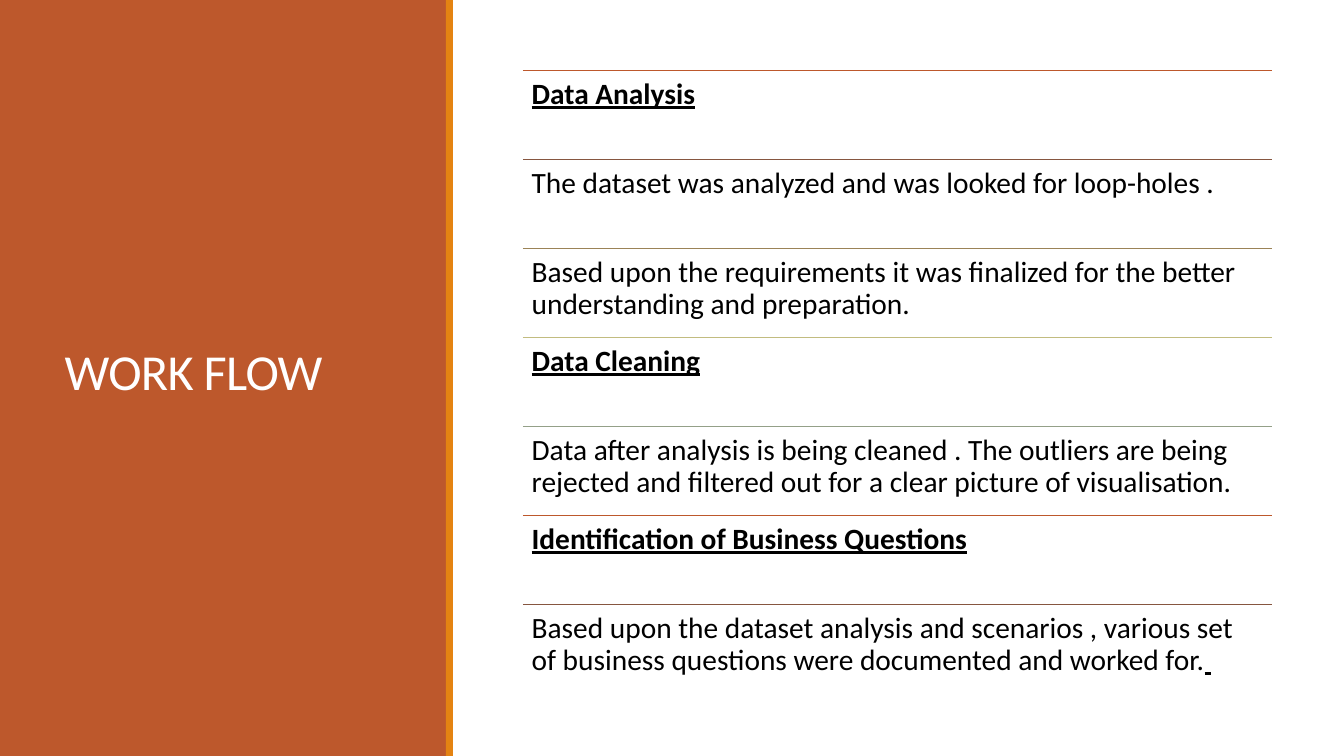
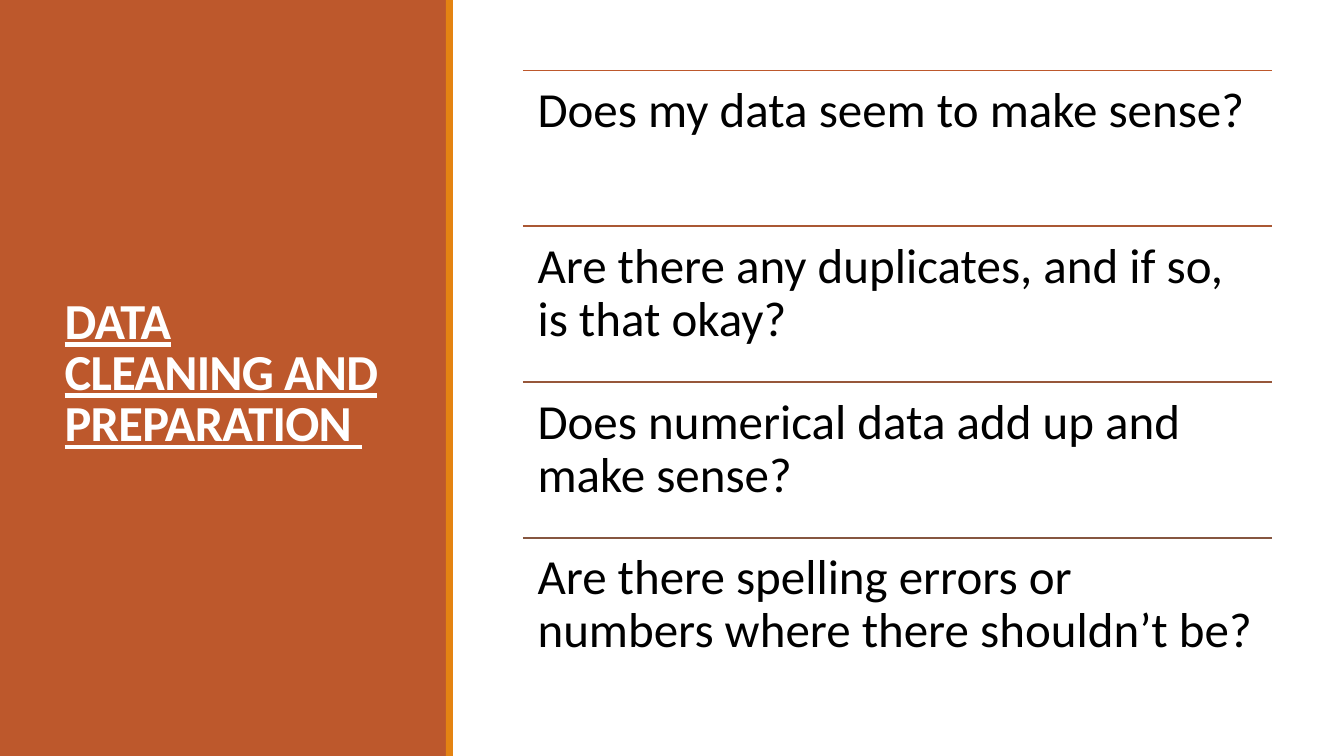
from lxml.etree import SubElement
from pptx import Presentation
from pptx.dml.color import RGBColor
from pptx.enum.shapes import MSO_CONNECTOR, MSO_SHAPE
from pptx.enum.text import MSO_ANCHOR, MSO_AUTO_SIZE, PP_ALIGN
from pptx.oxml.ns import qn
from pptx.util import Pt

# Content: each row is (rule colour, [(text, is emphasised), ...])
SLIDES = [
    {
        "title": "WORK FLOW",
        "title_emphasis": False,
        "text_size": 21,
        "rows": [
            ("rust", [("Data Analysis", True)]),
            ("brown", [("The dataset was analyzed and was looked for loop-holes .", False)]),
            ("tan", [("Based upon the requirements it was finalized for the better "
                      "understanding and preparation.", False)]),
            ("sand", [("Data Cleaning", True)]),
            ("sage", [("Data after analysis is being cleaned . The outliers are being "
                       "rejected and filtered out for a clear picture of visualisation.", False)]),
            ("rust", [("Identification of Business Questions", True)]),
            ("brown", [("Based upon the dataset analysis and scenarios , various set of "
                        "business questions were documented and worked for.", False),
                       (" ", True)]),
        ],
    },
    {
        "title": "DATA CLEANING AND PREPARATION ",
        "title_emphasis": True,
        "text_size": 35,
        "rows": [
            ("rust", [("Does my data seem to make sense?", False)]),
            ("rust_dark", [("Are there any duplicates, and if so, is that okay?", False)]),
            ("rust_brown", [("Does numerical data add up and make sense?", False)]),
            ("brown", [("Are there spelling errors or numbers where there shouldn’t be?", False)]),
        ],
    },
]

# Shared style
COLOURS = {
    "rust": "BD582C", "orange": "E48312", "white": "FFFFFF", "black": "000000",
    "brown": "865640", "tan": "9B8357", "sand": "C2BC80", "sage": "94A088",
    "rust_dark": "AA5834", "rust_brown": "97573A",
}
FONT = "Calibri"
SLIDE_WIDTH, SLIDE_HEIGHT = 960, 540
BANDS = [(0, 319, "rust"), (318.5, 5, "orange")]  # left, width, colour
TITLE_BOX = (39, 41, 242.5, 454)
LIST_LEFT, LIST_TOP, LIST_WIDTH, LIST_HEIGHT = 373.5, 50.4, 535, 445
INSET_RATIO = 0.3  # text inset as a share of the text size


def colour(name):
    return RGBColor.from_string(COLOURS[name])


def format_run(run, size, colour_name, emphasis):
    run.font.name = FONT
    run.font.size = Pt(size)
    run.font.color.rgb = colour(colour_name)
    run.font.bold = emphasis
    run.font.underline = emphasis


def add_bands(slide):
    for position, (left, width, colour_name) in enumerate(BANDS):
        band = slide.shapes.add_shape(
            MSO_SHAPE.RECTANGLE, Pt(left), Pt(0), Pt(width), Pt(SLIDE_HEIGHT))
        band.shadow.inherit = False
        band.fill.solid()
        band.fill.fore_color.rgb = colour(colour_name)
        band.line.fill.background()
        # Keep the bands behind the title
        slide.shapes._spTree.insert(2 + position, band._element)


def set_title(slide, text, emphasis):
    title = slide.shapes.title
    title.left, title.top, title.width, title.height = map(Pt, TITLE_BOX)
    frame = title.text_frame
    frame.text = text
    frame.word_wrap = True
    frame.auto_size = MSO_AUTO_SIZE.NONE
    frame.vertical_anchor = MSO_ANCHOR.MIDDLE
    paragraph = frame.paragraphs[0]
    paragraph.alignment = PP_ALIGN.LEFT
    paragraph.line_spacing = 0.85
    run = paragraph.runs[0]
    format_run(run, 36, "white", emphasis)
    run.font._element.set("spc", "-50")


def add_rule(slide, top, colour_name):
    rule = slide.shapes.add_connector(
        MSO_CONNECTOR.STRAIGHT, Pt(LIST_LEFT), Pt(top), Pt(LIST_LEFT + LIST_WIDTH), Pt(top))
    rule.line.color.rgb = colour(colour_name)
    rule.line.width = Pt(1.25)
    SubElement(rule._element.spPr, qn("a:effectLst"))


def add_row_text(slide, top, height, pieces, size):
    box = slide.shapes.add_textbox(Pt(LIST_LEFT), Pt(top), Pt(LIST_WIDTH), Pt(height))
    frame = box.text_frame
    frame.word_wrap = True
    inset = Pt(size * INSET_RATIO)
    frame.margin_left = frame.margin_right = inset
    frame.margin_top = frame.margin_bottom = inset
    paragraph = frame.paragraphs[0]
    paragraph.line_spacing = 0.9
    for text, emphasis in pieces:
        run = paragraph.add_run()
        run.text = text
        format_run(run, size, "black", emphasis)


def build_slide(presentation, content):
    slide = presentation.slides.add_slide(presentation.slide_layouts[5])
    add_bands(slide)
    set_title(slide, content["title"], content["title_emphasis"])
    # Equal rows fill the list area
    row_height = LIST_HEIGHT / len(content["rows"])
    for index, (rule_colour, pieces) in enumerate(content["rows"]):
        top = LIST_TOP + index * row_height
        add_rule(slide, top, rule_colour)
        add_row_text(slide, top, row_height, pieces, content["text_size"])


def main():
    presentation = Presentation()
    presentation.slide_width = Pt(SLIDE_WIDTH)
    presentation.slide_height = Pt(SLIDE_HEIGHT)
    for content in SLIDES:
        build_slide(presentation, content)
    presentation.save("out.pptx")


if __name__ == "__main__":
    main()
